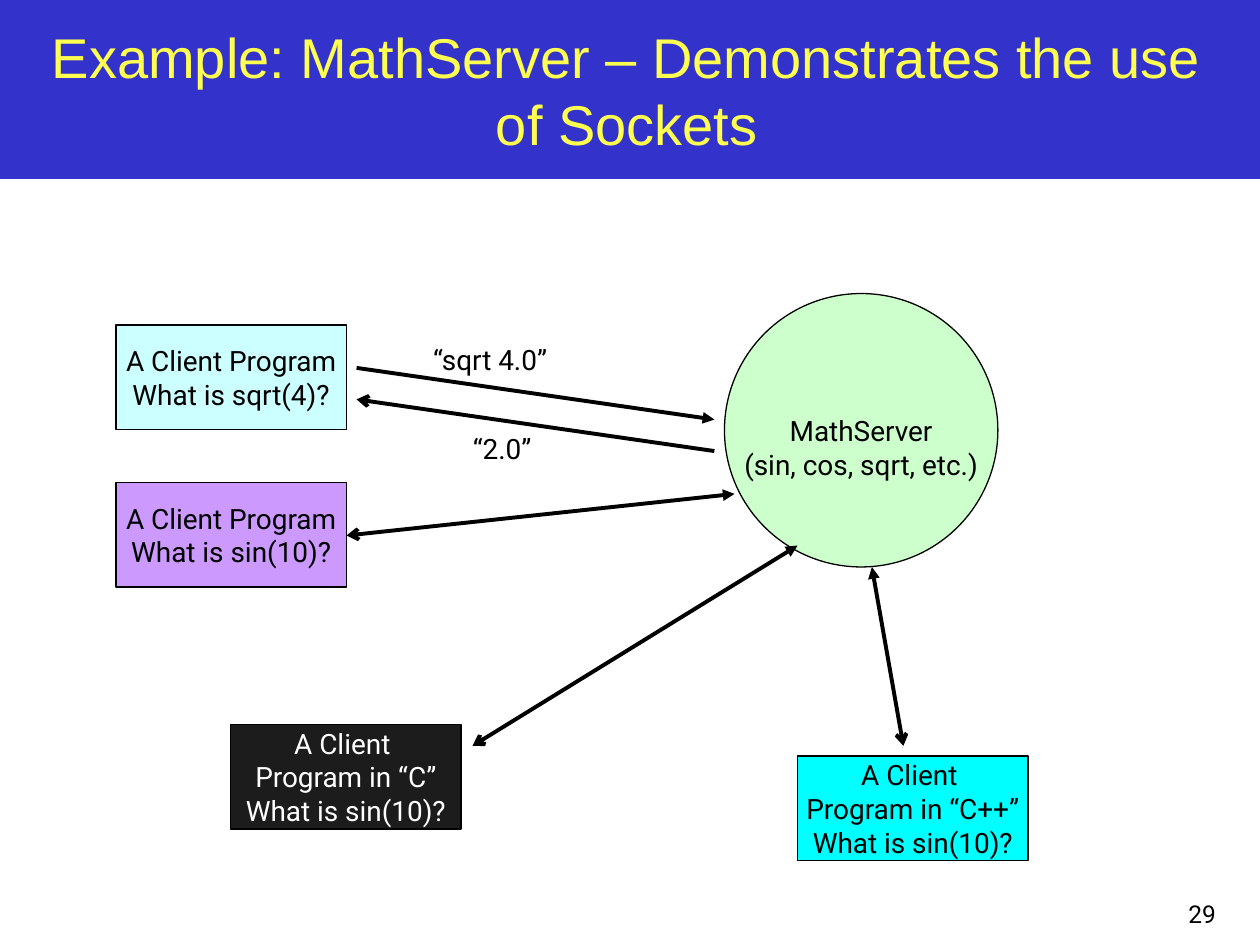
from pptx import Presentation
from pptx.dml.color import RGBColor
from pptx.enum.shapes import MSO_CONNECTOR as Connector, MSO_SHAPE as Shape
from pptx.enum.text import MSO_ANCHOR as Anchor, MSO_AUTO_SIZE as AutoSize, PP_ALIGN as Align
from pptx.oxml.ns import qn
from pptx.util import Inches, Pt
from lxml.etree import SubElement

TITLE = "Example: MathServer – Demonstrates the use of Sockets"
BLACK, WHITE = "000000", "FFFFFF"
BAND, TITLE_COLOR, SERVER_COLOR = "3333CC", "FEFE50", "CCFFCC"
SERVER = "MathServer\n(sin, cos, sqrt, etc.)"
SERVER_AT = (5.75, 2.33, 2.17, 2.17)
CLIENT_SIZE = (1.83, 0.83)
CLIENTS = [
    (0.92, 2.58, "CCFFFF", BLACK, "A Client Program\nWhat is sqrt(4)?"),
    (0.92, 3.83, "CC99FF", BLACK, "A Client Program\nWhat is sin(10)?"),
    (6.33, 6, "00FFFF", BLACK, "A Client \nProgram in “C++”\nWhat is sin(10)?"),
    (1.83, 5.75, "1C1C1C", WHITE, "A Client \nProgram in “C”\nWhat is sin(10)?"),
]
ARROWS = [
    ((2.83, 2.92), (5.67, 3.33), None, "triangle"),
    ((2.75, 4.25), (5.83, 3.92), "arrow", "triangle"),
    ((3.75, 5.92), (6.33, 4.33), "arrow", "triangle"),
    ((7.17, 5.92), (6.92, 4.5), "arrow", "triangle"),
    ((2.83, 3.17), (5.67, 3.58), "arrow", None),
]
MESSAGES = [
    ("“sqrt 4.0”", (3.32, 2.67, 1.14, 0.37)),
    ("“2.0”", (3.64, 3.38, 0.69, 0.37)),
]
PAGE_NUMBER = ("29", (7.67, 6.92, 2.08, 0.5))


def rgb(code):
    return RGBColor.from_string(code)


def write(shape, text, color=BLACK, size=16, font="Roboto", align=Align.CENTER,
          anchor=Anchor.MIDDLE, wrap=False):
    frame = shape.text_frame
    frame.text = text
    frame.word_wrap = wrap
    frame.auto_size = AutoSize.NONE
    frame.vertical_anchor = anchor
    for para in frame.paragraphs:
        para.alignment = align
        for span in para.runs:
            span.font.name = font
            span.font.size = Pt(size)
            span.font.color.rgb = rgb(color)


def add_block(page, kind, place, fill, line=BLACK):
    block = page.shapes.add_shape(kind, *map(Inches, place))
    block.shadow.inherit = False
    block.fill.solid()
    block.fill.fore_color.rgb = rgb(fill)
    if line:
        block.line.color.rgb = rgb(line)
        block.line.width = Pt(0.75)
    else:
        block.line.fill.background()
    return block


def add_arrow(page, start, end, head, tail):
    arrow = page.shapes.add_connector(Connector.STRAIGHT, *map(Inches, start + end))
    arrow.line.color.rgb = rgb(BLACK)
    arrow.line.width = Pt(2.25)
    properties = arrow._element.spPr
    outline = properties.find(qn("a:ln"))
    for tag, style in (("a:headEnd", head), ("a:tailEnd", tail)):
        if style:
            SubElement(outline, qn(tag), type=style)
    SubElement(properties, qn("a:effectLst"))


def add_label(page, text, place, **style):
    box = page.shapes.add_textbox(*map(Inches, place))
    write(box, text, **style)


def main():
    deck = Presentation()
    deck.slide_width, deck.slide_height = Inches(10), Inches(7.5)
    page = deck.slides.add_slide(deck.slide_layouts[5])

    band = add_block(page, Shape.RECTANGLE, (0, 0, 10, 1.42), BAND, line=None)
    title = page.shapes.title
    title._element.addprevious(band._element)
    title.left, title.top, title.width, title.height = map(Inches, (0.17, 0.17, 9.61, 1.08))
    write(title, TITLE, TITLE_COLOR, size=32, font="Arial", wrap=True)

    server = add_block(page, Shape.OVAL, SERVER_AT, SERVER_COLOR)
    write(server, SERVER)
    server.text_frame.margin_top = Inches(0.32)

    for left, top, fill, color, text in CLIENTS:
        client = add_block(page, Shape.RECTANGLE, (left, top, *CLIENT_SIZE), fill)
        write(client, text, color)
    for arrow in ARROWS:
        add_arrow(page, *arrow)
    for text, place in MESSAGES:
        add_label(page, text, place, anchor=Anchor.TOP)
    add_label(page, *PAGE_NUMBER, size=14, align=Align.RIGHT, anchor=Anchor.BOTTOM, wrap=True)

    deck.save("out.pptx")


if __name__ == "__main__":
    main()
